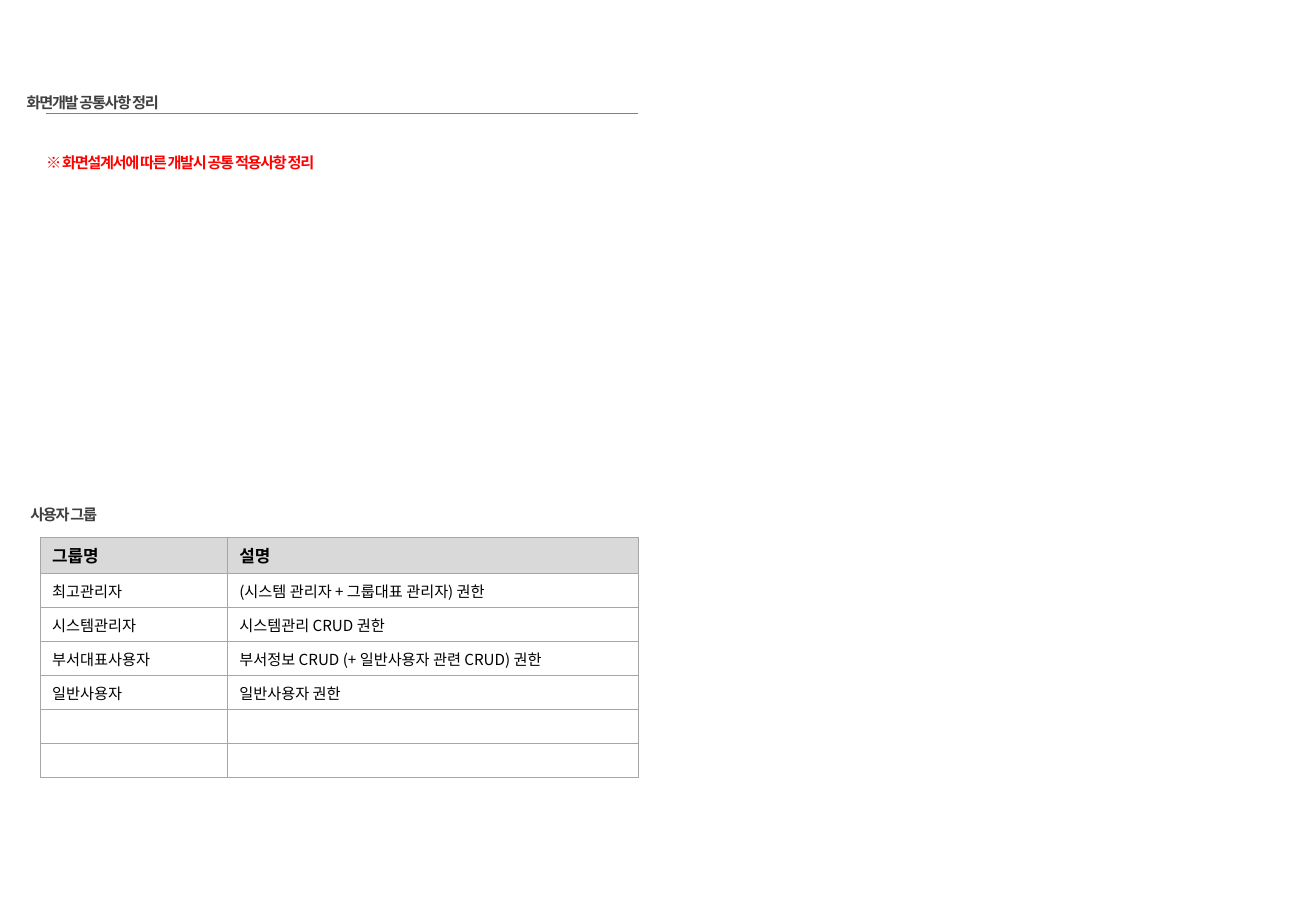
"""Build the slide of common screen development notes and user groups."""
from lxml import etree
from pptx import Presentation
from pptx.dml.color import RGBColor
from pptx.enum.shapes import MSO_CONNECTOR
from pptx.enum.text import MSO_ANCHOR
from pptx.oxml.ns import qn
from pptx.util import Inches, Pt

STRAIGHT = MSO_CONNECTOR.STRAIGHT
TOP, MIDDLE = MSO_ANCHOR.TOP, MSO_ANCHOR.MIDDLE
FONT = "Noto Sans CJK KR"
COLORS = {
    "notice": "FF0000",
    "heading": "404040",
    "rule": "808080",
    "header": "D9D9D9",
    "border": "A6A6A6",
    "body": "000000",
}
USER_GROUPS = [
    ("그룹명", "설명"),
    ("최고관리자", "(시스템 관리자 + 그룹대표 관리자) 권한"),
    ("시스템관리자", "시스템관리 CRUD 권한"),
    ("부서대표사용자", "부서정보 CRUD (+ 일반사용자 관련 CRUD) 권한"),
    ("일반사용자", "일반사용자 권한"),
    ("", ""),
    ("", ""),
]


def color(key):
    return RGBColor.from_string(COLORS[key])


def format_run(run, size, color_key, bold):
    run.font.size = Pt(size)
    run.font.bold = bold
    run.font.color.rgb = color(color_key)
    run.font.name = FONT
    etree.SubElement(run.font._element, qn("a:ea"), typeface=FONT)


def add_label(slide, text, left, top, width, height, color_key, anchor=MIDDLE):
    label = slide.shapes.add_textbox(
        Inches(left), Inches(top), Inches(width), Inches(height))
    frame = label.text_frame
    frame.word_wrap = False
    frame.vertical_anchor = anchor
    frame.margin_left = frame.margin_right = 0
    frame.margin_top = frame.margin_bottom = 0
    frame.text = text
    paragraph = frame.paragraphs[0]
    paragraph.line_spacing = 1.2
    run = paragraph.runs[0]
    format_run(run, 9, color_key, True)
    run.font._element.set("spc", "-80")


def add_rule(slide, left, right, y):
    rule = slide.shapes.add_connector(
        STRAIGHT, Inches(left), Inches(y), Inches(right), Inches(y))
    rule.line.color.rgb = color("rule")
    rule.line.width = Pt(0.5)
    etree.SubElement(rule._element.spPr, qn("a:effectLst"))


def set_borders(cell):
    properties = cell._tc.get_or_add_tcPr()
    for side in ("lnL", "lnR", "lnT", "lnB"):
        border = etree.SubElement(properties, qn(f"a:{side}"), w=str(Pt(0.5)))
        fill = etree.SubElement(border, qn("a:solidFill"))
        etree.SubElement(fill, qn("a:srgbClr"), val=COLORS["border"])


def fill_cell(cell, text, is_header):
    set_borders(cell)
    cell.vertical_anchor = MIDDLE
    if is_header:
        cell.fill.solid()
        cell.fill.fore_color.rgb = color("header")
    else:
        cell.fill.background()
    paragraph = cell.text_frame.paragraphs[0]
    if text:
        paragraph.text = text
        format_run(paragraph.runs[0], 10 if is_header else 9, "body", is_header)
    else:
        etree.SubElement(paragraph._p, qn("a:endParaRPr"), sz="900")


def add_group_table(slide, left, top, column_widths, header_height, row_height):
    heights = [header_height] + [row_height] * (len(USER_GROUPS) - 1)
    table = slide.shapes.add_table(
        len(USER_GROUPS), len(column_widths), Inches(left), Inches(top),
        Inches(sum(column_widths)), Inches(sum(heights))).table
    for column, width in zip(table.columns, column_widths):
        column.width = Inches(width)
    for row, height in zip(table.rows, heights):
        row.height = Inches(height)
    for row_index, group in enumerate(USER_GROUPS):
        for column_index, text in enumerate(group):
            fill_cell(table.cell(row_index, column_index), text, row_index == 0)


def main():
    presentation = Presentation()
    presentation.slide_width = Inches(10.83)
    presentation.slide_height = Inches(7.5)
    slide = presentation.slides.add_slide(presentation.slide_layouts[6])
    add_label(slide, "※ 화면설계서에 따른 개발시 공통 적용사항 정리",
              0.38, 1.23, 6.55, 0.63, "notice", TOP)
    add_rule(slide, 0.38, 5.25, 0.93)
    add_label(slide, "화면개발 공통사항 정리", 0.22, 0.73, 5.75, 0.2, "heading")
    add_group_table(slide, 0.33, 4.42, (1.54, 3.38), 0.3, 0.28)
    add_label(slide, "사용자 그룹", 0.25, 4.12, 2.13, 0.2, "heading")
    presentation.save("out.pptx")


if __name__ == "__main__":
    main()
